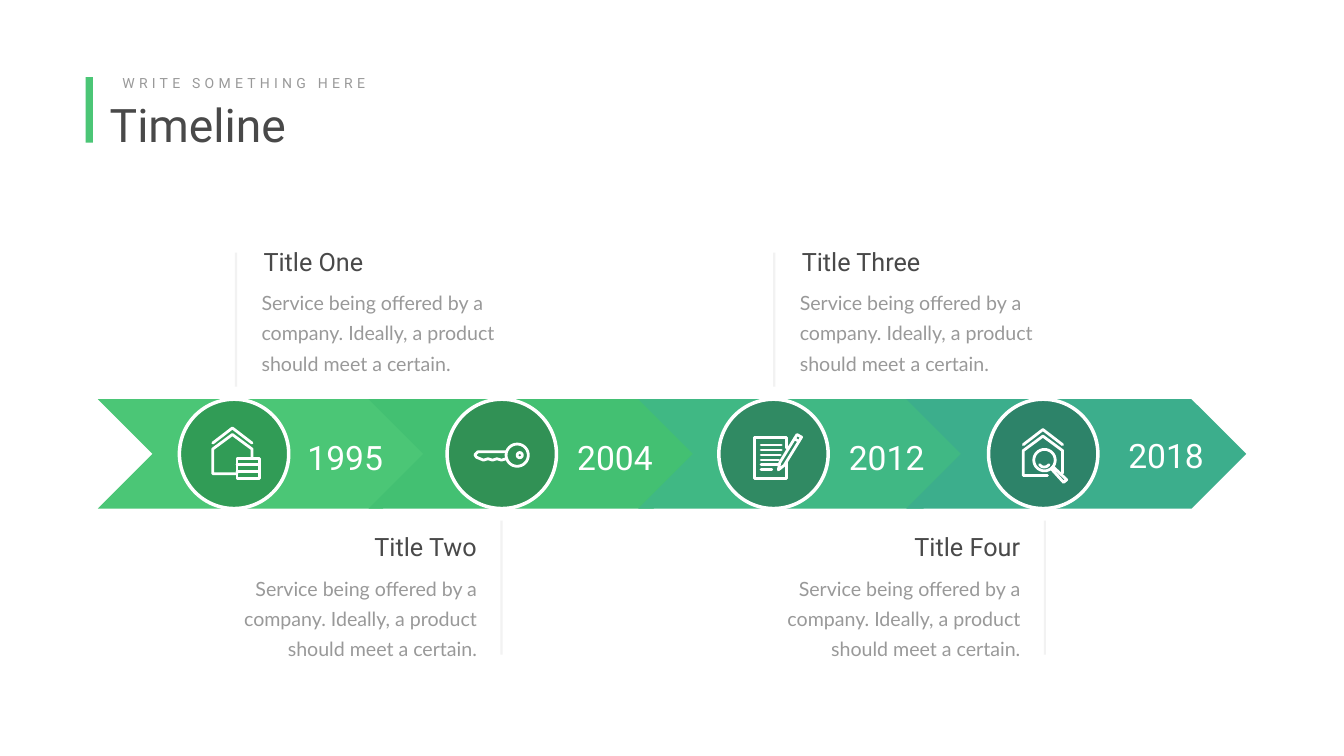
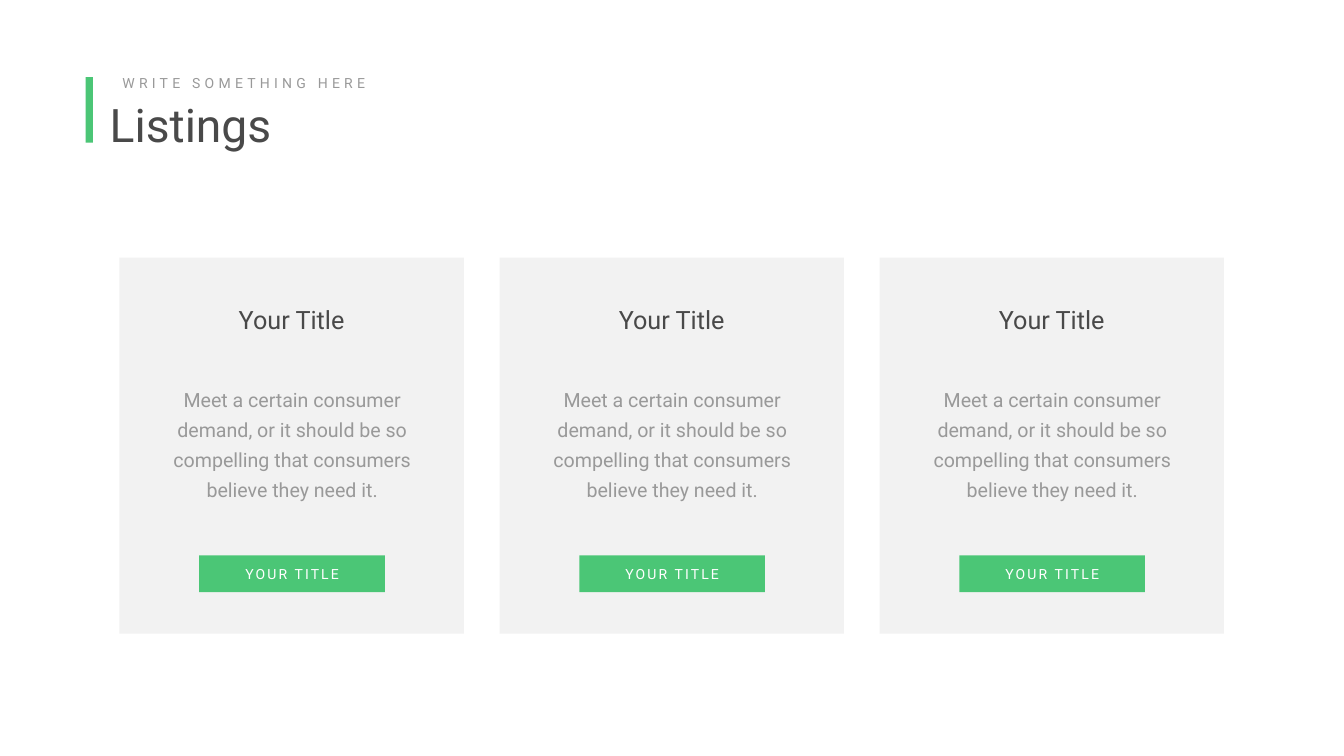
import math

from lxml import etree
from pptx import Presentation
from pptx import util as u
from pptx.dml import color
from pptx.enum import shapes, text
from pptx.oxml import ns

GREEN, DARK, GREY, WHITE, SHADE = "4BC676", "494949", "999999", "FFFFFF", "808080"
SHAPE, ALIGN = shapes.MSO_SHAPE, text.PP_ALIGN
BODY = dict(size=28, color=GREY, leading=43, inset=(0.61, 0.3))

SERVICE = "Service being offered by a company. Ideally, a product should meet a certain."
OFFER = ("Meet a certain consumer demand, or it should be so compelling "
         "that consumers believe they need it.")

HOUSE_ROOF = [(1.68, 2.21), (2.67, 1.45), (3.66, 2.21)]
HOUSE_WALL = [(2.9, 3.76), (1.68, 3.76), (1.68, 2.51), (2.67, 1.78), (3.66, 2.51)]


def rgb(value):
    """Turn a hex string into a colour."""
    return color.RGBColor.from_string(value)


def fade(sp, percent):
    """Make the colours of a shape see-through."""
    for clr in sp._element.spPr.iter(ns.qn("a:srgbClr")):
        etree.SubElement(clr, ns.qn("a:alpha")).set("val", str(percent * 1000))


def add_text(s, x, y, w, h, content, size=36, color=DARK, font="Roboto", align=ALIGN.LEFT,
             leading=None, spacing=None, inset=(0.25, 0.13), wrap=True):
    """Add a text box with one paragraph in one format."""
    tf = s.shapes.add_textbox(u.Cm(x), u.Cm(y), u.Cm(w), u.Cm(h)).text_frame
    tf.word_wrap = wrap
    tf.margin_left = tf.margin_right = u.Cm(inset[0])
    tf.margin_top = tf.margin_bottom = u.Cm(inset[1])
    p = tf.paragraphs[0]
    p.alignment = align
    if leading:
        p.line_spacing = u.Pt(leading)
    r = p.add_run()
    r.text = content
    r.font.size, r.font.name = u.Pt(size), font
    r.font.color.rgb = rgb(color)
    if spacing:
        r._r.get_or_add_rPr().set("spc", str(spacing * 100))


def add_block(s, kind, x, y, w, h, fill, outline=None, alpha=None):
    """Add a filled preset shape, outlined in a colour if one is given."""
    sp = s.shapes.add_shape(kind, u.Cm(x), u.Cm(y), u.Cm(w), u.Cm(h))
    sp.shadow.inherit = False
    sp.fill.solid()
    sp.fill.fore_color.rgb = rgb(fill)
    if outline:
        sp.line.color.rgb = rgb(outline)
        sp.line.width = u.Pt(5)
    else:
        sp.line.fill.background()
    if alpha:
        fade(sp, alpha)


def add_rule(s, x, top, bottom):
    """Add a faint vertical line."""
    line = s.shapes.add_connector(shapes.MSO_CONNECTOR.STRAIGHT,
                                  u.Cm(x), u.Cm(bottom), u.Cm(x), u.Cm(top))
    line.line.color.rgb = rgb(SHADE)
    line.line.width = u.Pt(3)
    fade(line, 10)
    etree.SubElement(line._element.spPr, ns.qn("a:effectLst"))


def add_icon(s, x, y, strokes):
    """Draw white rounded strokes measured from a corner point."""
    paths = [[(u.Cm(x + px), u.Cm(y + py)) for px, py in stroke] for stroke in strokes]
    builder = s.shapes.build_freeform(*paths[0][0], scale=1.0)
    for points in paths:
        if points is not paths[0]:
            builder.move_to(*points[0])
        closed = points[0] == points[-1]
        builder.add_line_segments(points[1:-1] if closed else points[1:], close=closed)
    sp = builder.convert_to_shape()
    sp.shadow.inherit = False
    sp.fill.background()
    sp.line.color.rgb = rgb(WHITE)
    sp.line.width = u.Pt(4)
    ln = sp._element.spPr.find(ns.qn("a:ln"))
    ln.set("cap", "rnd")
    etree.SubElement(ln, ns.qn("a:round"))


def ring(cx, cy, radius, steps=32):
    """Return the points of a closed circle."""
    turns = [2 * math.pi * (i % steps) / steps for i in range(steps + 1)]
    return [(cx + radius * math.cos(t), cy + radius * math.sin(t)) for t in turns]


def shift(points, dx, dy):
    """Move points by an offset."""
    return [(x + dx, y + dy) for x, y in points]


def house_and_box():
    """Return the strokes of a house with a stack of boxes."""
    box = [(2.9, 2.97), (4.04, 2.97), (4.04, 3.99), (2.9, 3.99), (2.9, 2.97)]
    shelves = [[(2.9, y), (4.04, y)] for y in (3.31, 3.65)]
    return [HOUSE_ROOF, HOUSE_WALL + [(3.66, 2.97)], box, *shelves]


def key():
    """Return the strokes of a key."""
    shaft = [(2.97, 2.65), (1.55, 2.65), (1.4, 2.79), (1.47, 2.92), (1.83, 3.07),
             (2.06, 3), (2.29, 3.07), (2.51, 3), (2.74, 3.07), (2.97, 3)]
    return [shaft, ring(3.53, 2.82, 0.56), ring(3.66, 2.82, 0.13)]


def page_and_pencil():
    """Return the strokes of a written page with a pencil."""
    page = [(3.43, 2.45), (3.43, 1.91), (1.78, 1.91), (1.78, 3.99), (3.43, 3.99), (3.43, 3.15)]
    ends = (3.15, 3.15, 3.1, 3.02, 2.97, 2.67)
    writing = [[(2.13, 2.31 + 0.25 * i), (end, 2.31 + 0.25 * i)] for i, end in enumerate(ends)]
    pencil = [(3.94, 1.78), (4.17, 1.91), (3.3, 3.33), (3, 3.56), (3.07, 3.2), (3.94, 1.78)]
    return [page, *writing, pencil, [(3.81, 1.99), (4.04, 2.13)]]


def house_and_lens():
    """Return the strokes of a house under a magnifying glass."""
    handle = [(3.18, 3.53), (3.25, 3.4), (3.94, 4.06), (3.78, 4.19), (3.18, 3.53)]
    glint = [(2.57, 3.3), (2.69, 3.4), (2.79, 3.42), (2.92, 3.4), (3.05, 3.3)]
    return [shift(HOUSE_ROOF, 0.07, 0.08), shift(HOUSE_WALL + [(3.66, 3.65)], 0.07, 0.08),
            ring(2.82, 3.07, 0.54), handle, glint]


def add_slide(prs, title):
    """Add a white slide with the shared heading."""
    s = prs.slides.add_slide(prs.slide_layouts[6])
    s.background.fill.solid()
    s.background.fill.fore_color.rgb = rgb(WHITE)
    add_text(s, 5.28, 4.72, 28.42, 3.07, title, size=66)
    add_text(s, 5.92, 3.61, 15.14, 1.12, "WRITE SOMETHING HERE", size=20, color=GREY, spacing=6)
    add_block(s, SHAPE.RECTANGLE, 4.32, 3.89, 0.36, 3.3, GREEN)
    return s


def add_note(s, x, title, above):
    """Add a rule with a title and a text, above or below the band."""
    top = 12.73 if above else 26.24
    add_rule(s, x, top, top + 6.75)
    align = ALIGN.LEFT if above else ALIGN.RIGHT
    title_x, title_y = (x + 1.14, 12.27) if above else (x - 11.08, 26.64)
    body_x, body_y = (x + 0.68, 14.05) if above else (x - 14.68, 28.45)
    add_text(s, body_x, body_y, 14.05, 5.03, SERVICE, font="Lato", align=align, **BODY)
    add_text(s, title_x, title_y, 10.08, 1.8, title, align=align)


def timeline(prs):
    """Build the timeline slide."""
    s = add_slide(prs, "Timeline")
    top, size = 20.12, 5.51
    steps = [
        ("1995", "Title One", GREEN, "319C56", 4.93, 9.04, 15.21, 21.87, 11.89, house_and_box),
        ("2004", "Title Two", "43C072", "319155", 18.57, 22.53, 28.8, 21.87, 25.27, key),
        ("2012", "Title Three", "40B884", "308A63", 32.16, 36.22, 42.49, 21.87, 39.01,
         page_and_pencil),
        ("2018", "Title Four", "3CAE8C", "2D8369", 45.67, 49.81, 56.57, 21.79, 52.65,
         house_and_lens),
    ]
    for _, _, band, _, band_x, *_ in steps:
        add_block(s, SHAPE.CHEVRON, band_x, top, 17.12, size, band)
    for i, (year, title, _, disc, _, disc_x, year_x, year_y, rule_x, icon) in enumerate(steps):
        add_block(s, SHAPE.OVAL, disc_x, top, size, size, disc, outline=WHITE)
        add_icon(s, disc_x, top, icon())
        add_text(s, year_x, year_y, 4.37, 2.31, year, size=48, color=WHITE,
                 align=ALIGN.CENTER, wrap=False)
        add_note(s, rule_x, title, above=i % 2 == 0)


def add_card(s, x):
    """Add a listing card with a title, a text and a button."""
    add_block(s, SHAPE.RECTANGLE, x, 12.98, 17.35, 18.95, SHADE, alpha=10)
    add_block(s, SHAPE.RECTANGLE, x + 4.02, 27.99, 9.35, 1.85, GREEN)
    add_text(s, x + 2.3, 15.21, 12.75, 1.8, "Your Title", align=ALIGN.CENTER)
    add_text(s, x + 1.78, 18.9, 13.84, 6.6, OFFER, align=ALIGN.CENTER, **BODY)
    add_text(s, x + 4.75, 28.35, 7.9, 1.12, "YOUR TITLE", size=20, color=WHITE,
             align=ALIGN.CENTER, spacing=3)


def listings(prs):
    """Build the listings slide."""
    s = add_slide(prs, "Listings")
    for column in range(3):
        add_card(s, 6.02 + 19.15 * column)


def main():
    """Build and save the presentation."""
    prs = Presentation()
    prs.slide_width, prs.slide_height = u.Cm(67.72), u.Cm(38.1)
    timeline(prs)
    listings(prs)
    prs.save("out.pptx")


if __name__ == "__main__":
    main()
